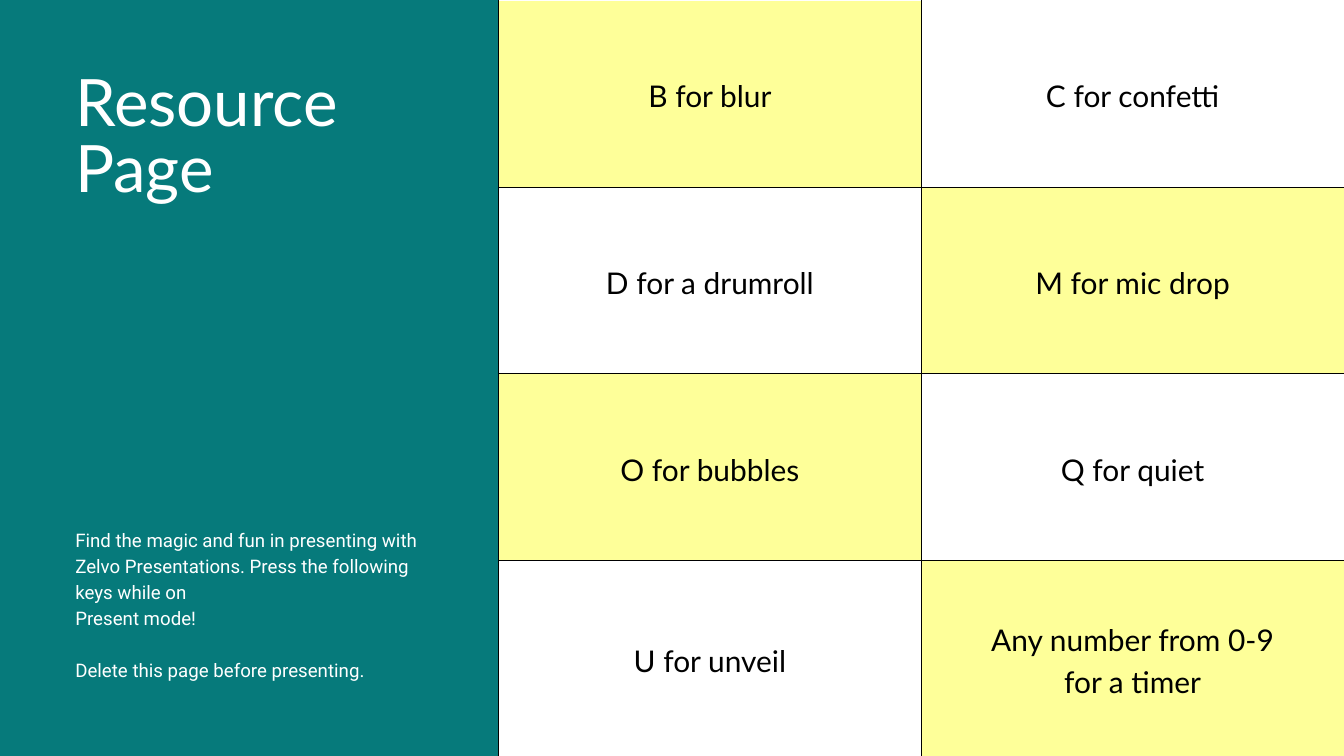
import pptx
import pptx.dml.color
import pptx.enum.shapes
import pptx.enum.text
import pptx.oxml
import pptx.oxml.ns
import pptx.util

Inches = pptx.util.Inches
Pt = pptx.util.Pt
RGBColor = pptx.dml.color.RGBColor
Align = pptx.enum.text.PP_ALIGN

TEAL = RGBColor(0x06, 0x7A, 0x7B)
YELLOW = RGBColor(0xFE, 0xFF, 0x99)
WHITE = RGBColor(0xFF, 0xFF, 0xFF)
BLACK = RGBColor(0, 0, 0)

WIDTH, HEIGHT = 20, 11.25
SIDE = 7.42
ROW = 2.78
KEYS = [
    ["B for blur", "C for confetti"],
    ["D for a drumroll", "M for mic drop"],
    ["O for bubbles", "Q for quiet"],
    ["U for unveil", "Any number from 0-9\nfor a timer"],
]


def style(frame, font, size, color, pitch, align=Align.LEFT):
    for para in frame.paragraphs:
        para.alignment = align
        para.line_spacing = Pt(pitch)
        for run in para.runs:
            run.font.name = font
            run.font.size = Pt(size)
            run.font.color.rgb = color


def add_panel(slide):
    panel = slide.shapes.add_shape(
        pptx.enum.shapes.MSO_SHAPE.RECTANGLE,
        0, 0, Inches(SIDE), Inches(11.45))
    panel.shadow.inherit = False
    panel.fill.solid()
    panel.fill.fore_color.rgb = TEAL
    panel.line.fill.background()


def add_text(slide, top, height, text, font, size, pitch):
    box = slide.shapes.add_textbox(
        Inches(1.12), Inches(top), Inches(5.25), Inches(height))
    frame = box.text_frame
    frame.word_wrap = True
    frame.margin_left = frame.margin_right = 0
    frame.margin_top = frame.margin_bottom = 0
    frame.text = text
    style(frame, font, size, WHITE, pitch)
    return frame


def add_edge(cell, side, color):
    space = pptx.oxml.ns.nsdecls("a")
    cell._tc.get_or_add_tcPr().append(pptx.oxml.parse_xml(
        f'<a:ln{side} {space} w="{Pt(0.75)}"><a:solidFill>'
        f'<a:srgbClr val="{color}"/></a:solidFill></a:ln{side}>'))


def add_keys(slide):
    rows, cols = len(KEYS), len(KEYS[0])
    table = slide.shapes.add_table(
        rows, cols, Inches(SIDE), 0,
        Inches(WIDTH - SIDE), Inches(HEIGHT)).table
    table.first_row = False
    table.horz_banding = False
    for col in table.columns:
        col.width = Inches((WIDTH - SIDE) / cols)
    for r, line in enumerate(KEYS):
        last = r == rows - 1
        table.rows[r].height = Inches(HEIGHT - ROW * r if last else ROW)
        for c, text in enumerate(line):
            cell = table.cell(r, c)
            cell.text_frame.text = text
            style(cell.text_frame, "Lato", 32, BLACK, 44.8, Align.CENTER)
            cell.vertical_anchor = pptx.enum.text.MSO_ANCHOR.MIDDLE
            cell.margin_left = cell.margin_right = Inches(0.21)
            cell.margin_top = cell.margin_bottom = Inches(0.21)
            # Outer edges are white, except beside the panel
            add_edge(cell, "L", BLACK)
            add_edge(cell, "R", WHITE if c == cols - 1 else BLACK)
            add_edge(cell, "T", WHITE if r == 0 else BLACK)
            add_edge(cell, "B", WHITE if last else BLACK)
            # Checkerboard fill
            if (r + c) % 2 == 0:
                cell.fill.solid()
                cell.fill.fore_color.rgb = YELLOW
            else:
                cell.fill.background()


def main():
    deck = pptx.Presentation()
    deck.slide_width = Inches(WIDTH)
    deck.slide_height = Inches(HEIGHT)
    slide = deck.slides.add_slide(deck.slide_layouts[6])

    # Side panel with title and hint
    add_panel(slide)
    add_text(slide, 1.11, 2.14, "Resource\nPage", "Lato", 70, 70)
    hint = add_text(
        slide, 7.81, 2.32,
        "Find the magic and fun in presenting with Zelvo Presentations. "
        "Press the following keys while on\nPresent mode!\n"
        "Delete this page before presenting.", "Roboto", 20, 28)
    hint.paragraphs[-1].space_before = Pt(28)

    # Grid of shortcut keys
    add_keys(slide)
    deck.save("out.pptx")


if __name__ == "__main__":
    main()
